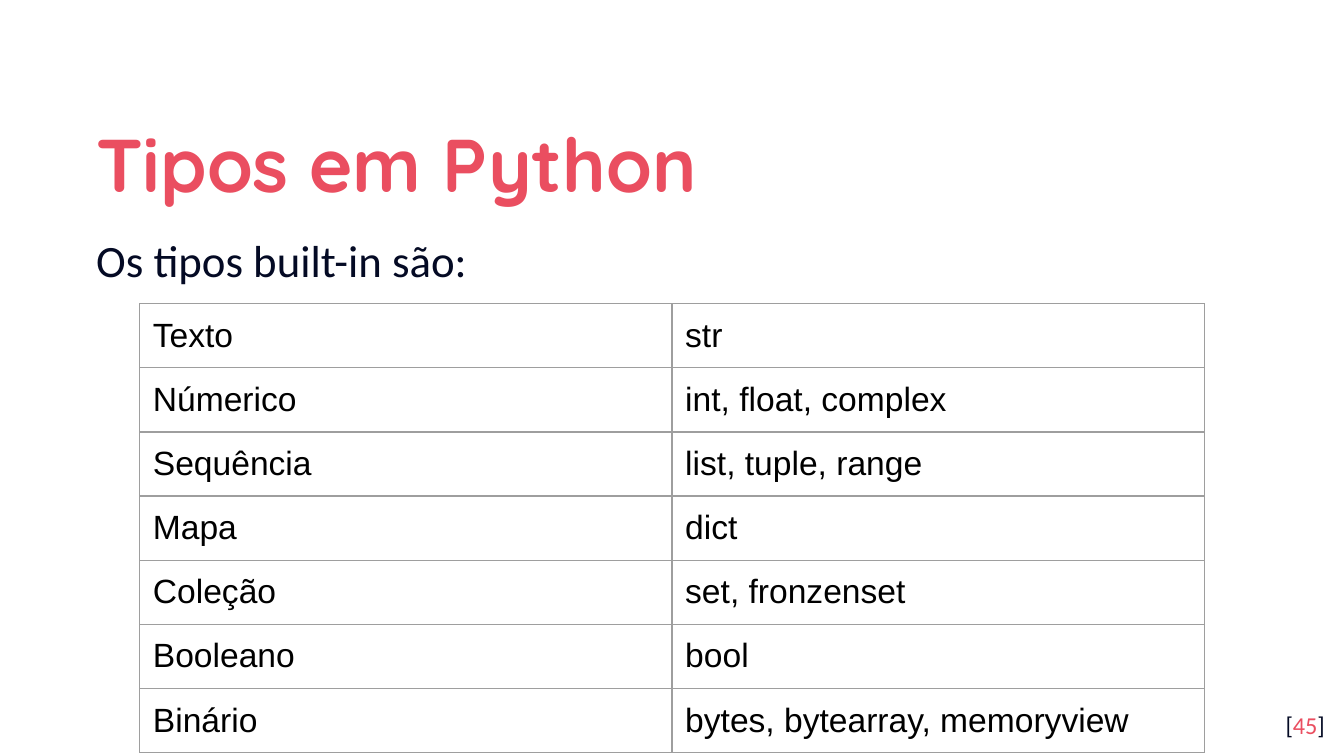
import dataclasses

import pptx
import pptx.dml.color
import pptx.enum.text
import pptx.oxml
import pptx.oxml.ns
import pptx.util

Cm = pptx.util.Cm
Pt = pptx.util.Pt
RGBColor = pptx.dml.color.RGBColor
Anchor = pptx.enum.text.MSO_ANCHOR
Align = pptx.enum.text.PP_ALIGN

CORAL = RGBColor(0xEA, 0x4E, 0x60)
NAVY = RGBColor(0x04, 0x0A, 0x24)
BLACK = RGBColor(0, 0, 0)
BORDER_GRAY = RGBColor(0x9E, 0x9E, 0x9E)
INSET = Cm(0.25)


@dataclasses.dataclass
class TypeRow:
    category: str
    types: str


@dataclasses.dataclass
class Style:
    font: str
    size: int
    color: RGBColor
    bold: bool = False


TYPE_ROWS = [
    TypeRow("Texto", "str"),
    TypeRow("Númerico", "int, float, complex"),
    TypeRow("Sequência", "list, tuple, range"),
    TypeRow("Mapa", "dict"),
    TypeRow("Coleção", "set, fronzenset"),
    TypeRow("Booleano", "bool"),
    TypeRow("Binário", "bytes, bytearray, memoryview"),
]
TITLE = Style("Quicksand", 40, CORAL, True)
BODY = Style("Calibri", 24, NAVY)
NUMBER = Style("Calibri", 13, NAVY)
NUMBER_ACCENT = Style("Calibri", 13, CORAL)
CELL = Style("Arial", 18, BLACK)


def format_span(span, style: Style) -> None:
    span.font.name = style.font
    span.font.size = Pt(style.size)
    span.font.bold = style.bold
    span.font.color.rgb = style.color


def set_insets(holder) -> None:
    holder.margin_left = holder.margin_right = INSET
    holder.margin_top = holder.margin_bottom = INSET


def fill_box(box, spans: list[tuple[str, Style]], anchor, alignment):
    frame = box.text_frame
    frame.word_wrap = True
    frame.auto_size = pptx.enum.text.MSO_AUTO_SIZE.NONE
    frame.vertical_anchor = anchor
    set_insets(frame)
    para = frame.paragraphs[0]
    para.alignment = alignment
    for text, style in spans:
        span = para.add_run()
        span.text = text
        format_span(span, style)
    return para


def add_borders(cell) -> None:
    properties = cell._tc.get_or_add_tcPr()
    for index, side in enumerate(("lnL", "lnR", "lnT", "lnB")):
        line = pptx.oxml.parse_xml(
            f'<a:{side} {pptx.oxml.ns.nsdecls("a")} w="{Pt(0.75)}"><a:solidFill>'
            f'<a:srgbClr val="{BORDER_GRAY}"/></a:solidFill></a:{side}>'
        )
        properties.insert(index, line)


def fill_cell(cell, text: str) -> None:
    cell.text_frame.text = text
    format_span(cell.text_frame.paragraphs[0].runs[0], CELL)
    set_insets(cell)
    cell.fill.background()
    add_borders(cell)


def add_types_table(page, rows: list[TypeRow]) -> None:
    row_height = Cm(1.07)
    table = page.shapes.add_table(
        len(rows), 2, Cm(2.64), Cm(5.74), Cm(20.12), row_height * len(rows)
    ).table
    table.first_row = table.horz_banding = False
    for table_row, row in zip(table.rows, rows):
        table_row.height = row_height
        for cell, text in zip(table_row.cells, dataclasses.astuple(row)):
            fill_cell(cell, text)


def main() -> None:
    deck = pptx.Presentation()
    deck.slide_width, deck.slide_height = Cm(25.4), Cm(14.29)
    page = deck.slides.add_slide(deck.slide_layouts[5])

    # Title
    title = page.shapes.title
    title.left, title.top = Cm(1.57), Cm(1.78)
    title.width, title.height = Cm(22.28), Cm(2.34)
    para = fill_box(title, [("Tipos em Python", TITLE)], Anchor.MIDDLE, Align.LEFT)
    para.line_spacing = 1.15

    # Introduction
    intro = page.shapes.add_textbox(Cm(1.57), Cm(4.14), Cm(22.28), Cm(1.6))
    fill_box(intro, [("Os tipos built-in são:", BODY)], Anchor.TOP, Align.JUSTIFY)

    # Page number
    number = page.shapes.add_textbox(Cm(23.77), Cm(13.18), Cm(1.52), Cm(1.09))
    spans = [("[", NUMBER), ("45", NUMBER_ACCENT), ("]", NUMBER)]
    fill_box(number, spans, Anchor.TOP, Align.RIGHT)

    # Built-in types
    add_types_table(page, TYPE_ROWS)

    deck.save("out.pptx")


if __name__ == "__main__":
    main()
